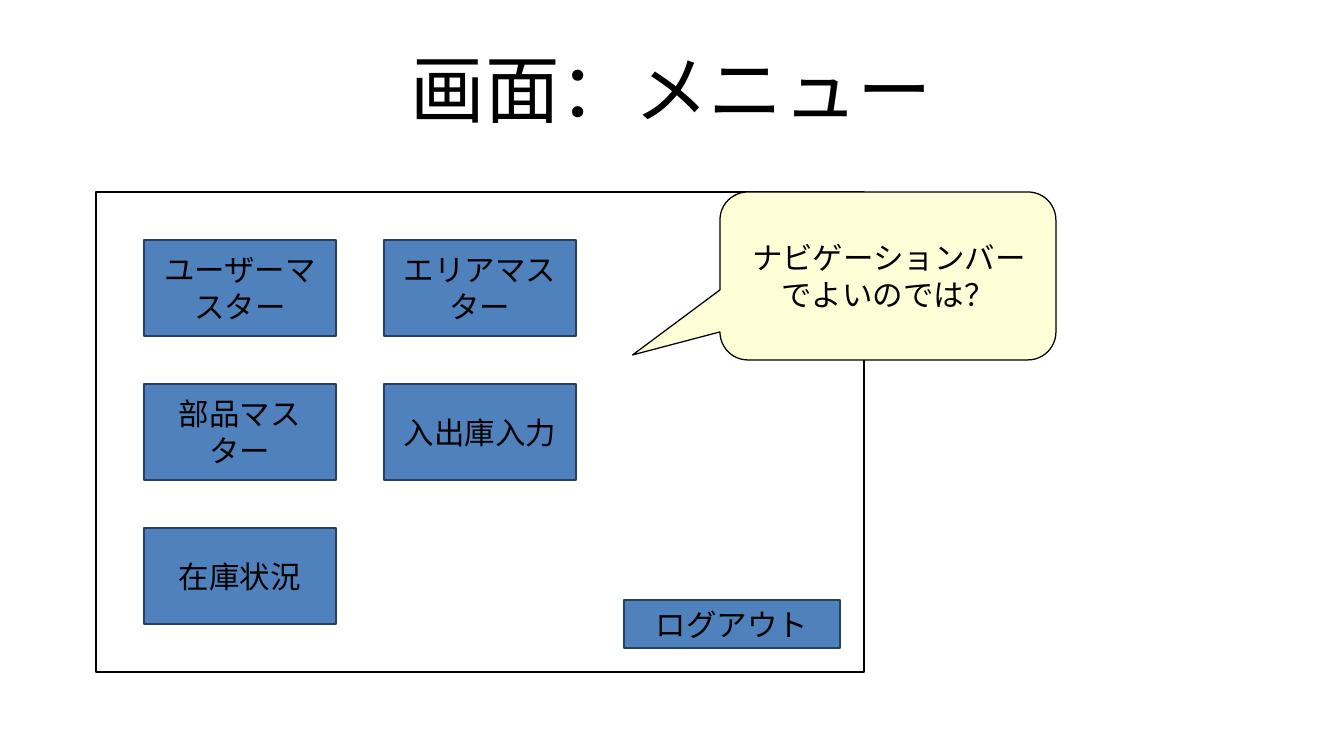
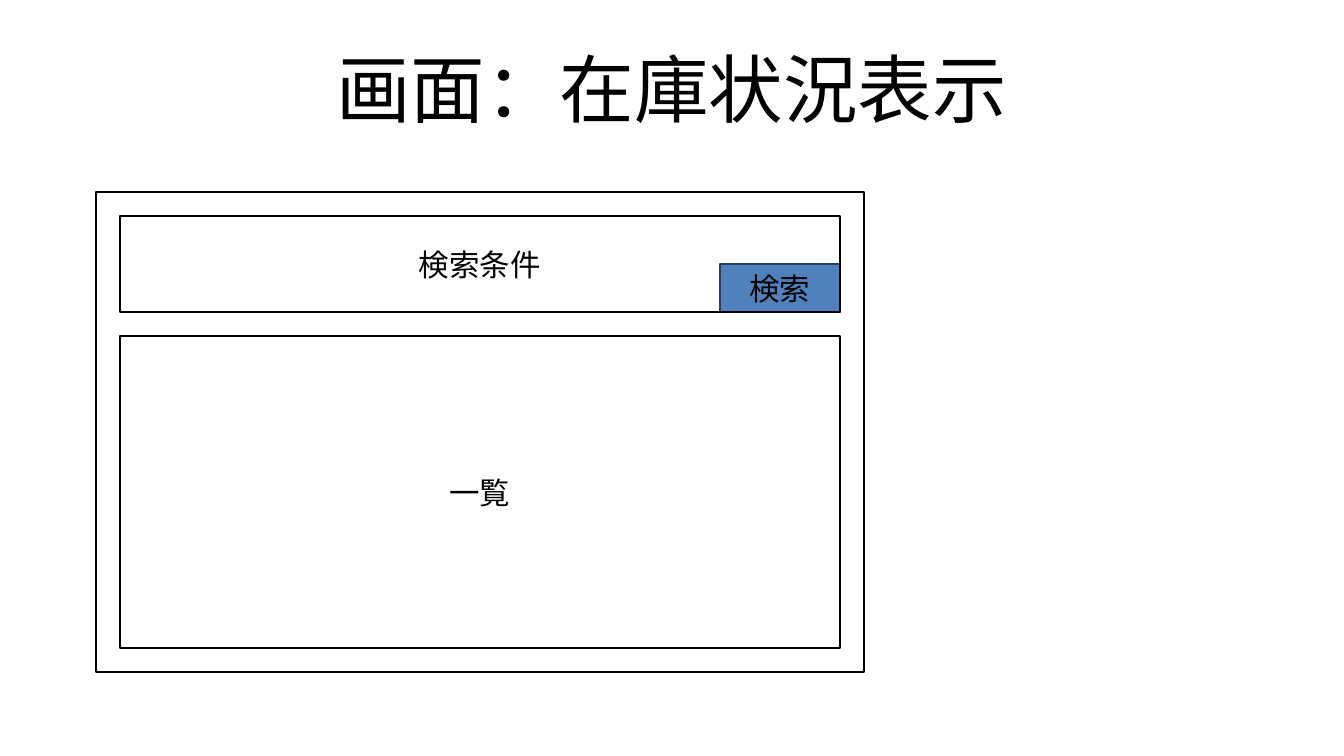
from pptx import Presentation
from pptx.dml.color import RGBColor
from pptx.enum.shapes import MSO_SHAPE
from pptx.enum.text import MSO_ANCHOR, MSO_AUTO_SIZE, PP_ALIGN
from pptx.util import Cm, Pt

BLACK = RGBColor(0x00, 0x00, 0x00)
BUTTON_BLUE = RGBColor(0x4F, 0x81, 0xBD)
BUTTON_EDGE = RGBColor(0x25, 0x40, 0x61)
NOTE_YELLOW = RGBColor(0xFF, 0xFF, 0xD7)

RECTANGLE = MSO_SHAPE.RECTANGLE
CALLOUT = MSO_SHAPE.ROUNDED_RECTANGULAR_CALLOUT
CENTER = PP_ALIGN.CENTER
MIDDLE = MSO_ANCHOR.MIDDLE
NO_AUTOFIT = MSO_AUTO_SIZE.NONE

FONT = "Arial"
TITLE_ONLY = 5
HAIRLINE = Pt(0)

MENU_ITEMS = ["ユーザーマスター", "エリアマスター", "部品マスター", "入出庫入力", "在庫状況"]
MENU_COLUMNS = 2


def write_text(frame, text, size=18, color=BLACK, line_spacing=None, margins=(0.25, 0.13)):
    """Fill a text frame with one centred paragraph; margins are (side, top) in cm."""
    frame.word_wrap = True
    frame.auto_size = NO_AUTOFIT
    frame.vertical_anchor = MIDDLE
    frame.margin_left = frame.margin_right = Cm(margins[0])
    frame.margin_top = frame.margin_bottom = Cm(margins[1])
    paragraph = frame.paragraphs[0]
    paragraph.alignment = CENTER
    if line_spacing:
        paragraph.line_spacing = line_spacing
    run = paragraph.add_run()
    run.text = text
    run.font.name = FONT
    run.font.size = Pt(size)
    run.font.color.rgb = color


class ScreenDeck:
    """Deck of screen mock-ups; all positions are in centimetres."""

    def __init__(self):
        self.presentation = Presentation()
        self.presentation.slide_width = Cm(28)
        self.presentation.slide_height = Cm(15.75)
        self.slide = None

    def add_screen(self, heading):
        """Start a slide with its title and the outline of the screen."""
        layout = self.presentation.slide_layouts[TITLE_ONLY]
        self.slide = self.presentation.slides.add_slide(layout)
        title = self.slide.shapes.title
        title.left, title.top = Cm(1.4), Cm(0.63)
        title.width, title.height = Cm(25.2), Cm(2.62)
        write_text(title.text_frame, heading, size=44, line_spacing=0.9, margins=(0, 0))
        self.panel(2, 4, 16, 10)

    def _shape(self, kind, left, top, width, height, text="", fill=None, edge=BLACK):
        shape = self.slide.shapes.add_shape(kind, Cm(left), Cm(top), Cm(width), Cm(height))
        shape.shadow.inherit = False
        if fill is None:
            shape.fill.background()
        else:
            shape.fill.solid()
            shape.fill.fore_color.rgb = fill
        shape.line.color.rgb = edge
        shape.line.width = HAIRLINE
        if text:
            write_text(shape.text_frame, text)
        return shape

    def panel(self, left, top, width, height, text=""):
        self._shape(RECTANGLE, left, top, width, height, text)

    def button(self, left, top, width, height, text):
        self._shape(RECTANGLE, left, top, width, height, text, BUTTON_BLUE, BUTTON_EDGE)

    def comment(self, left, top, width, height, text, tail):
        """Add a callout; tail is the tip's offset from the centre, as shares of its size."""
        callout = self._shape(CALLOUT, left, top, width, height, text, NOTE_YELLOW)
        callout.adjustments[0], callout.adjustments[1] = tail


def build_menu(deck):
    deck.add_screen("画面：メニュー")
    for index, item in enumerate(MENU_ITEMS):
        row, column = divmod(index, MENU_COLUMNS)
        deck.button(3 + 5 * column, 5 + 3 * row, 4, 2, item)
    deck.button(13, 12.5, 4.5, 1, "ログアウト")
    deck.comment(15, 4, 7, 3.5, "ナビゲーションバーでよいのでは？", tail=(-0.76, 0.47))


def build_stock_status(deck):
    deck.add_screen("画面：在庫状況表示")
    deck.button(15, 5.5, 2.5, 1, "検索")
    deck.panel(2.5, 4.5, 15, 2, "検索条件")
    deck.panel(2.5, 7, 15, 6.5, "一覧")


def main():
    deck = ScreenDeck()
    build_menu(deck)
    build_stock_status(deck)
    deck.presentation.save("out.pptx")


if __name__ == "__main__":
    main()
